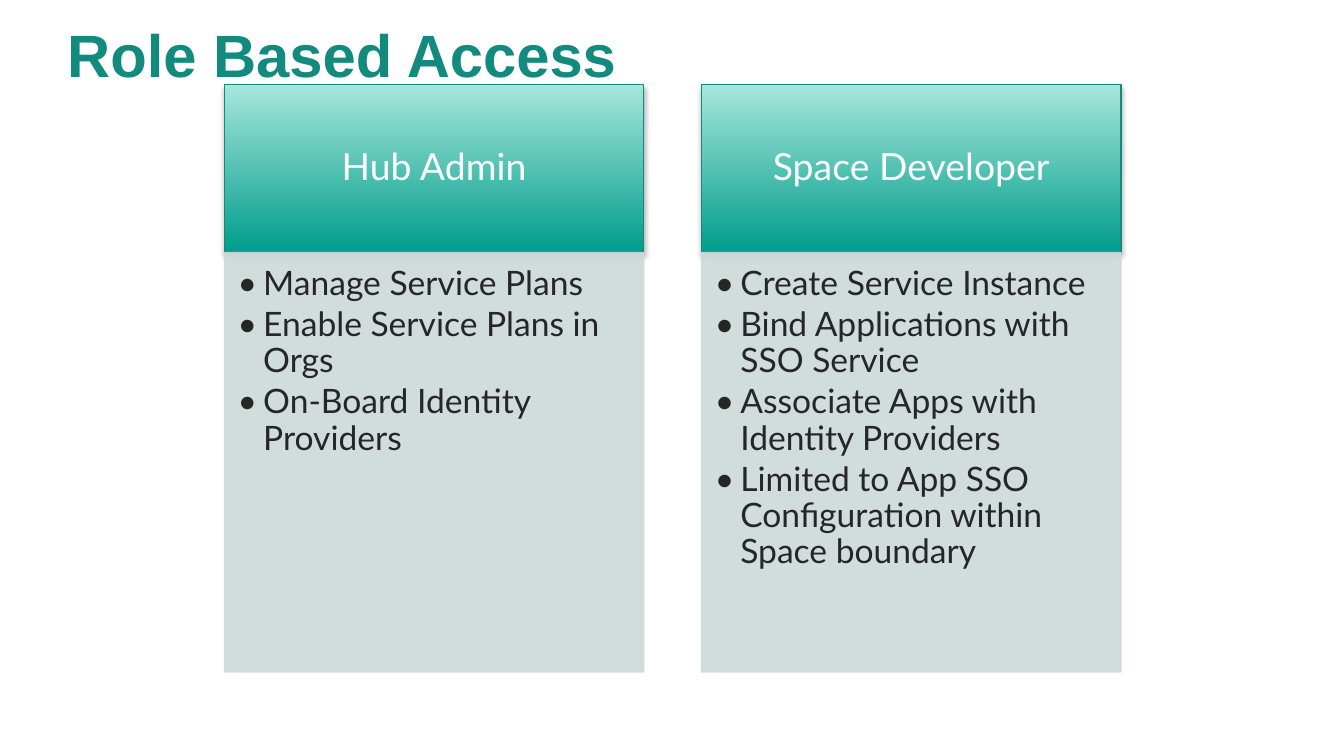
from dataclasses import dataclass

from lxml.etree import SubElement
from pptx import Presentation
from pptx.dml.color import RGBColor
from pptx.enum.shapes import MSO_SHAPE
from pptx.enum.text import MSO_ANCHOR, PP_ALIGN
from pptx.oxml.ns import qn
from pptx.shapes.autoshape import Shape
from pptx.slide import Slide
from pptx.text.text import TextFrame, _Paragraph
from pptx.util import Inches, Pt

SLIDE_WIDTH = Inches(10)
SLIDE_HEIGHT = SLIDE_WIDTH * 9 // 16
COLUMN_LEFT, COLUMN_PITCH, COLUMN_WIDTH = 1.67, 3.55, 3.12
HEADER_TOP, HEADER_HEIGHT = 0.63, 1.25
BODY_TOP, BODY_HEIGHT = HEADER_TOP + HEADER_HEIGHT, 3.12
INDENT = Inches(0.19)
TEAL, DEEP_TEAL, MINT = "138A7E", "019C8C", "A6E7DB"
PANEL, INK, WHITE, BLACK = "CCDAD8", "262626", "FFFFFF", "000000"


@dataclass(frozen=True)
class Role:
    name: str
    duties: tuple[str, ...]


ROLES = (
    Role("Hub Admin", (
        "Manage Service Plans",
        "Enable Service Plans in Orgs",
        "On-Board Identity Providers",
    )),
    Role("Space Developer", (
        "Create Service Instance",
        "Bind Applications with SSO Service",
        "Associate Apps with Identity Providers",
        "Limited to App SSO Configuration within Space boundary",
    )),
)


def color(value: str) -> RGBColor:
    return RGBColor.from_string(value)


def set_frame(frame: TextFrame, margins: tuple[float, ...], anchor: MSO_ANCHOR) -> None:
    """Margins run left, top, right, bottom, in inches."""
    frame.word_wrap = True
    frame.vertical_anchor = anchor
    (frame.margin_left, frame.margin_top,
     frame.margin_right, frame.margin_bottom) = map(Inches, margins)


def add_text(paragraph: _Paragraph, text: str, size: int, font: str, ink: str,
             alignment: PP_ALIGN = PP_ALIGN.LEFT, bold: bool = False) -> None:
    paragraph.alignment = alignment
    paragraph.line_spacing = 0.9
    run = paragraph.add_run()
    run.text = text
    run.font.size = Pt(size)
    run.font.name = font
    run.font.bold = bold
    run.font.color.rgb = color(ink)


def add_bullet(paragraph: _Paragraph) -> None:
    properties = paragraph._p.get_or_add_pPr()
    properties.set("marL", str(INDENT))
    properties.set("indent", str(-INDENT))
    SubElement(properties, qn("a:buFont"), typeface="Lato")
    SubElement(properties, qn("a:buChar"), char="•")


def add_shadow(shape: Shape) -> None:
    effects = shape._element.spPr.find(qn("a:effectLst"))
    shadow = SubElement(effects, qn("a:outerShdw"), blurRad=str(Pt(3.1)),
                        dist=str(Pt(1.8)), dir="5400000", rotWithShape="0")
    shade = SubElement(shadow, qn("a:srgbClr"), val=BLACK)
    SubElement(shade, qn("a:alpha"), val="35000")


def add_box(slide: Slide, column: int, top: float, height: float, outline: str) -> Shape:
    left = COLUMN_LEFT + column * COLUMN_PITCH
    shape = slide.shapes.add_shape(MSO_SHAPE.RECTANGLE, Inches(left), Inches(top),
                                   Inches(COLUMN_WIDTH), Inches(height))
    shape.shadow.inherit = False
    shape.line.color.rgb = color(outline)
    shape.line.width = Pt(0.75)
    return shape


def add_header(slide: Slide, column: int, role: Role) -> None:
    shape = add_box(slide, column, HEADER_TOP, HEADER_HEIGHT, TEAL)
    shape.fill.gradient()
    shape.fill.gradient_angle = 90
    for stop, value in zip(shape.fill.gradient_stops, (DEEP_TEAL, MINT)):
        stop.color.rgb = color(value)
    add_shadow(shape)
    set_frame(shape.text_frame, (0.16, 0.09, 0.16, 0.09), MSO_ANCHOR.MIDDLE)
    add_text(shape.text_frame.paragraphs[0], role.name, 20, "Lato", WHITE, PP_ALIGN.CENTER)


def add_duties(slide: Slide, column: int, role: Role) -> None:
    shape = add_box(slide, column, BODY_TOP, BODY_HEIGHT, PANEL)
    shape.fill.solid()
    shape.fill.fore_color.rgb = color(PANEL)
    for shade in shape._element.spPr.iter(qn("a:srgbClr")):
        SubElement(shade, qn("a:alpha"), val="90000")
    frame = shape.text_frame
    set_frame(frame, (0.1, 0.1, 0.14, 0.16), MSO_ANCHOR.TOP)
    for index, duty in enumerate(role.duties):
        paragraph = frame.add_paragraph() if index else frame.paragraphs[0]
        add_text(paragraph, duty, 18, "Lato", INK)
        paragraph.space_after = Pt(2.6)
        add_bullet(paragraph)


def add_title(slide: Slide, text: str) -> None:
    title = slide.shapes.title
    title.left, title.top = Inches(0.4), Inches(0.09)
    title.width, title.height = Inches(9.2), Inches(0.5)
    set_frame(title.text_frame, (0.1, 0.1, 0.1, 0.1), MSO_ANCHOR.TOP)
    add_text(title.text_frame.paragraphs[0], text, 32, "Arial", TEAL, bold=True)


def main() -> None:
    presentation = Presentation()
    presentation.slide_width, presentation.slide_height = SLIDE_WIDTH, SLIDE_HEIGHT
    slide = presentation.slides.add_slide(presentation.slide_layouts[5])
    add_title(slide, "Role Based Access")
    for column, role in enumerate(ROLES):
        add_header(slide, column, role)
        add_duties(slide, column, role)
    presentation.save("out.pptx")


if __name__ == "__main__":
    main()
